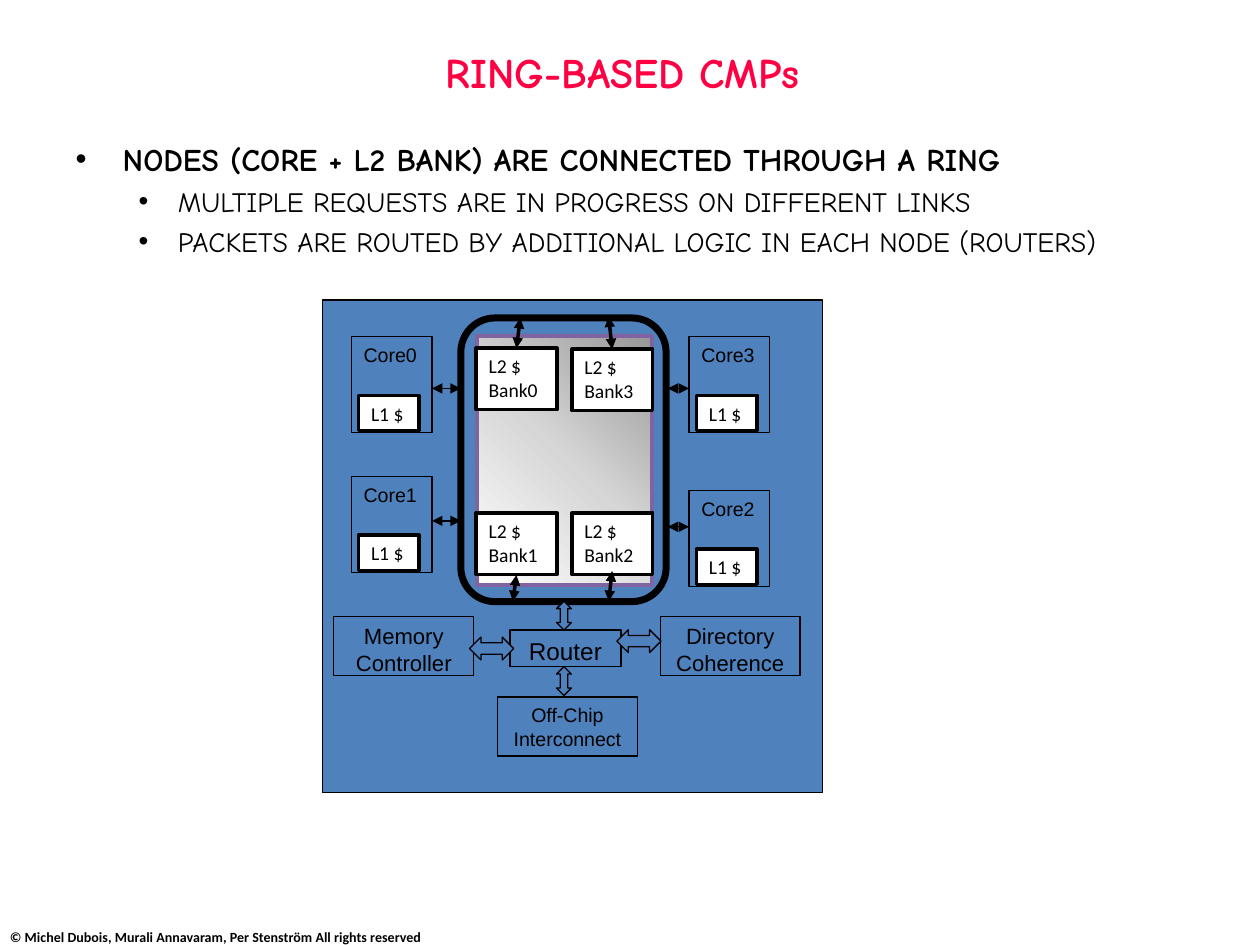
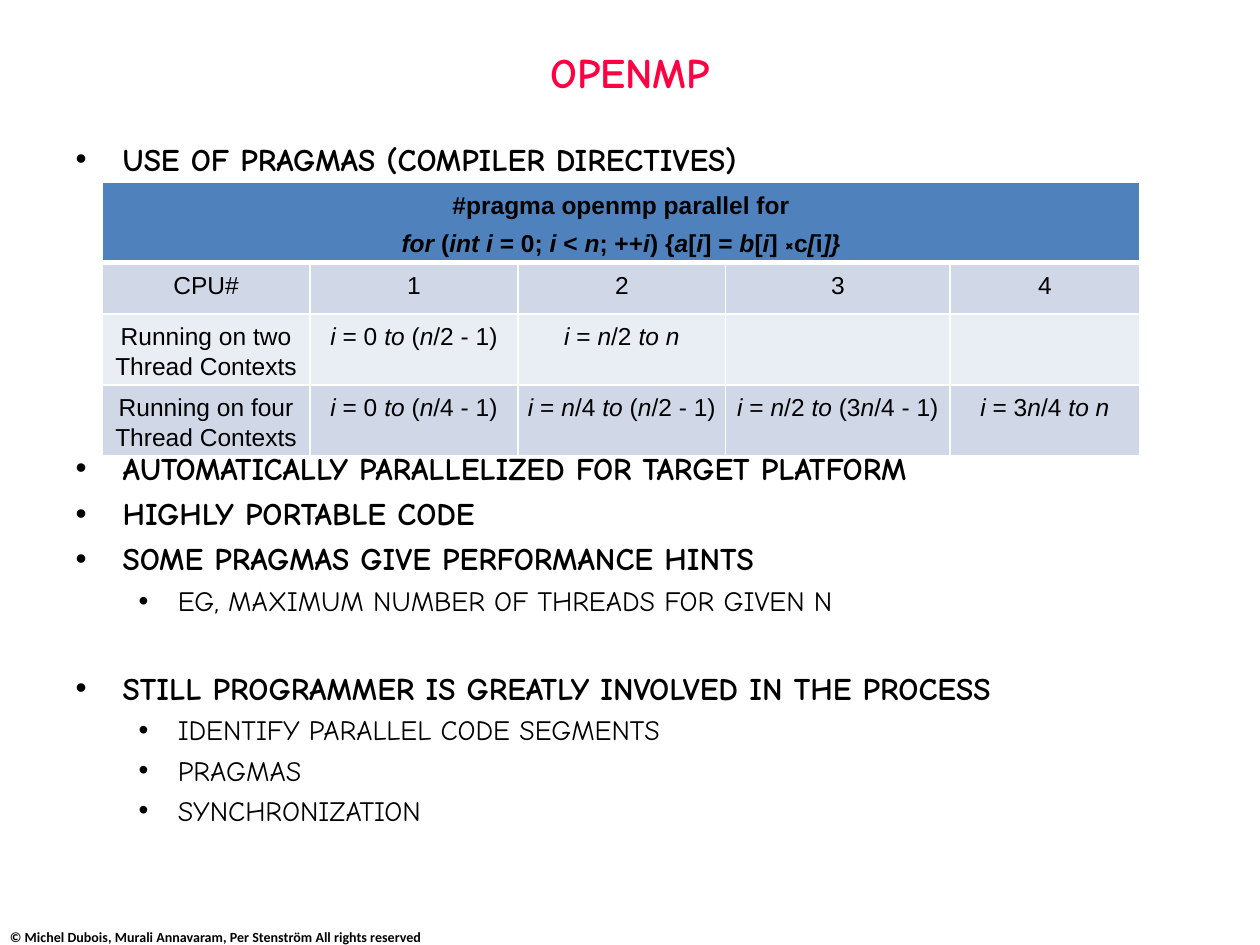
from copy import deepcopy
from dataclasses import dataclass

from lxml import etree
from pptx import Presentation
from pptx.dml.color import RGBColor
from pptx.enum.shapes import MSO_CONNECTOR, MSO_SHAPE
from pptx.enum.text import MSO_ANCHOR, MSO_AUTO_SIZE, PP_ALIGN
from pptx.oxml.ns import qn
from pptx.util import Cm, Pt

RECT, ROUND = MSO_SHAPE.RECTANGLE, MSO_SHAPE.ROUNDED_RECTANGLE
ARROW, STRAIGHT = MSO_SHAPE.UP_DOWN_ARROW, MSO_CONNECTOR.STRAIGHT
TOP, MIDDLE, BOTTOM = MSO_ANCHOR.TOP, MSO_ANCHOR.MIDDLE, MSO_ANCHOR.BOTTOM
LEFT, CENTER = PP_ALIGN.LEFT, PP_ALIGN.CENTER
NO_FIT = MSO_AUTO_SIZE.NONE


@dataclass(frozen=True)
class Theme:
    red: str = "FF0043"
    black: str = "000000"
    white: str = "FFFFFF"
    blue: str = "4F81BD"
    purple: str = "8064A2"
    band_dark: str = "D0D8E8"
    band_light: str = "E9EDF4"
    ring_fade: tuple = ((0, "979797"), (0.5, "D7D7D7"), (1, "FFFFFF"))
    head_font: str = "Comic Neue"
    label_font: str = "Arial"
    small_font: str = "Calibri"
    title: float = 24
    levels: tuple = (18, 16)
    footer: float = 8
    table: float = 14
    router: float = 13.9
    unit: float = 12.6
    chip: float = 11.2
    thin: float = 0.75
    thick: float = 2
    ring: float = 4


T = Theme()
INDENTS = ((0.95, -0.95), (2.06, -0.79))
FOOTER = "© Michel Dubois, Murali Annavaram, Per Stenström All rights reserved"


def rgb(color):
    return RGBColor.from_string(color)


def cms(*values):
    return [Cm(v) for v in values]


def add_run(p, text, size, font, color=T.black, bold=False, italic=False):
    r = p.add_run()
    r.text = text
    f = r.font
    f.size, f.name, f.bold, f.italic = Pt(size), font, bold, italic
    f.color.rgb = rgb(color)


def set_frame(tf, anchor=TOP):
    tf.word_wrap, tf.auto_size, tf.vertical_anchor = True, NO_FIT, anchor


def place(sp, box):
    sp.left, sp.top, sp.width, sp.height = cms(*box)


def add_title(s, text):
    sp = s.shapes.title
    place(sp, (1.27, 0.18, 22.86, 2.51))
    set_frame(sp.text_frame, MIDDLE)
    p = sp.text_frame.paragraphs[0]
    p.alignment = CENTER
    add_run(p, text, T.title, T.head_font, T.red, bold=True)


def add_body(s, items):
    sp = s.placeholders[1]
    place(sp, (1.27, 2.69, 22.86, 14.96))
    tf = sp.text_frame
    set_frame(tf)
    for i, (level, text, gap) in enumerate(items):
        p = tf.add_paragraph() if i else tf.paragraphs[0]
        p.level = level
        size = T.levels[level]
        p.space_before = Pt(round(size * 0.235 + gap, 1))
        pPr = p._p.get_or_add_pPr()
        left, hang = INDENTS[level]
        pPr.set("marL", str(Cm(left)))
        pPr.set("indent", str(Cm(hang)))
        etree.SubElement(pPr, qn("a:buFont")).set("typeface", T.label_font)
        etree.SubElement(pPr, qn("a:buChar")).set("char", "•")
        add_run(p, text, size, T.head_font, bold=level == 0)


def add_footer(s):
    tf = s.shapes.add_textbox(*cms(0.2, 18.59, 12.5, 0.46)).text_frame
    set_frame(tf, BOTTOM)
    tf.margin_left, tf.margin_top, tf.margin_right, tf.margin_bottom = cms(0, 0.13, 0.25, 0)
    add_run(tf.paragraphs[0], FOOTER, T.footer, T.small_font, bold=True)


def add_slide(prs, title, items):
    s = prs.slides.add_slide(prs.slide_layouts[1])
    add_title(s, title)
    add_body(s, items)
    add_footer(s)
    return s


class Chip:
    def __init__(self, s, left, top):
        self.shapes = s.shapes.add_group_shape().shapes
        self.left, self.top = left, top

    def at(self, x, y):
        return cms(self.left + x, self.top + y)

    def shape(self, kind, x, y, w, h, fill=T.blue, line=T.black, weight=T.thin, turn=0):
        sp = self.shapes.add_shape(kind, *self.at(x, y), *cms(w, h))
        sp.shadow.inherit = False
        sp.fill.solid()
        sp.fill.fore_color.rgb = rgb(fill)
        sp.line.color.rgb = rgb(line)
        sp.line.width = Pt(weight)
        sp.rotation = turn
        return sp

    def label(self, sp, text, size, font=T.label_font, align=CENTER):
        set_frame(sp.text_frame)
        p = sp.text_frame.paragraphs[0]
        p.alignment = align
        add_run(p, text, size, font)

    def cache(self, text, x, y, w, h):
        sp = self.shape(RECT, x, y, w, h, T.white, weight=T.thick)
        self.label(sp, text, T.chip, T.small_font, LEFT)

    def core(self, name, x, y):
        self.shape(RECT, x, y, 1.63, 1.93)
        self.cache("L1 $", x + 0.15, y + 1.18, 1.22, 0.71)
        sp = self.shapes.add_textbox(*self.at(x, y), *cms(1.63, 0.71))
        self.label(sp, name, T.chip, align=LEFT)
        sp.text_frame.word_wrap = False

    def unit(self, text, size, x, y, w=2.82, h=1.19):
        self.label(self.shape(RECT, x, y, w, h), text, size)

    def link(self, x1, y1, x2, y2, weight=T.thin):
        c = self.shapes.add_connector(STRAIGHT, *self.at(x1, y1), *self.at(x2, y2))
        c.line.color.rgb = rgb(T.black)
        c.line.width = Pt(weight)
        ln = c.line._get_or_add_ln()
        for end in ("a:headEnd", "a:tailEnd"):
            etree.SubElement(ln, qn(end)).set("type", "triangle")
        etree.SubElement(c._element.spPr, qn("a:effectLst"))

    def ring(self):
        self.shape(ROUND, 2.79, 0.36, 4.14, 5.72, weight=T.ring)
        sp = self.shape(RECT, 2.36, 1.47, 5.03, 3.53, line=T.purple, weight=T.thick, turn=90)
        sp.fill.gradient()
        sp.fill.gradient_angle = 315
        first = sp.fill._xPr.find(".//" + qn("a:gs"))
        first.addnext(deepcopy(first))
        for stop, (position, color) in zip(sp.fill.gradient_stops, T.ring_fade):
            stop.position = position
            stop.color.rgb = rgb(color)


def draw_chip(s, left, top):
    chip = Chip(s, left, top)
    chip.shape(RECT, 0, 0, 10.08, 9.93)
    left_x, right_x = 0.58, 7.39
    for i, (x, y) in enumerate(((left_x, 0.74), (left_x, 3.56), (right_x, 3.84), (right_x, 0.74))):
        chip.core(f"Core{i}", x, y)
    chip.ring()
    for i, (x, y) in enumerate(((3.1, 0.97), (3.1, 4.29), (5.03, 4.29), (5.03, 0.99))):
        chip.cache(f"L2 $ Bank{i}", x, y, 1.63, 1.24)
    for x1, x2, y in ((2.79, 2.21, 1.78), (2.79, 2.21, 4.45), (7.39, 6.96, 1.78), (7.39, 6.96, 4.57)):
        chip.link(x1, y, x2, y)
    for ends in ((3.91, 5.54, 3.84, 6.07), (5.84, 5.46, 5.77, 6.07),
                 (3.99, 0.36, 3.91, 0.97), (5.77, 0.33, 5.84, 0.99)):
        chip.link(*ends, T.thick)
    chip.unit("Router", T.router, 3.78, 6.65, 2.24, 0.74)
    chip.unit("Directory Coherence", T.unit, 6.81, 6.38)
    chip.unit("Off-Chip Interconnect", T.chip, 3.53, 8)
    chip.unit("Memory Controller", T.unit, 0.23, 6.38)
    for y in (6.07, 7.39):
        chip.shape(ARROW, 4.72, y, 0.3, 0.58)
    for x, y in ((6.15, 6.43), (3.18, 6.58)):
        chip.shape(ARROW, x, y, 0.46, 0.89, turn=90)


def set_borders(cell, top, bottom):
    tcPr = cell._tc.get_or_add_tcPr()
    for side, weight in (("L", 1), ("R", 1), ("T", top), ("B", bottom)):
        ln = etree.SubElement(tcPr, qn(f"a:ln{side}"), w=str(Pt(weight)))
        fill = etree.SubElement(ln, qn("a:solidFill"))
        etree.SubElement(fill, qn("a:srgbClr"), val=T.white)


def fill_cell(cell, text, bold):
    cell.margin_left, cell.margin_top, cell.margin_right, cell.margin_bottom = cms(0.2, 0.15, 0.2, 0.08)
    tf = cell.text_frame
    lines = text.split("\n")
    for i, line in enumerate(lines):
        p = tf.add_paragraph() if i else tf.paragraphs[0]
        p.alignment = CENTER
        p.line_spacing = Pt(17)
        p.space_after = Pt(5 if bold or len(lines) == 1 else 0)
        for j, part in enumerate(line.split("_")):
            if part:
                font = T.head_font if part == "×" else T.label_font
                add_run(p, part, T.table, font, bold=bold, italic=j % 2 == 1)


def draw_loop_table(s, left, top):
    head = ("#pragma openmp parallel for\n"
            "_for_ (_int i_ = 0; _i_ < _n_; ++_i_) {_a_[_i_] = _b_[_i_] ____×__c_[_i_]}")
    rows = (
        (head, "", "", "", ""),
        ("CPU#", "1", "2", "3", "4"),
        ("Running on two\nThread Contexts", "_i_ = 0 _to_ (_n_/2 - 1)", "_i_ = _n_/2 _to n_", "", ""),
        ("Running on four\nThread Contexts", "_i_ = 0 _to_ (_n_/4 - 1)",
         "_i_ = _n_/4 _to_ (_n_/2 - 1)", "_i_ = _n_/2 _to_ (3_n_/4 - 1)", "_i_ = 3_n_/4 _to n_"),
    )
    widths, heights = (4.19, 4.19, 4.19, 4.52, 3.83), (1.58, 1.04, 1.4, 1.4)
    fills = (T.blue, T.band_dark, T.band_light, T.band_dark)
    table = s.shapes.add_table(len(rows), len(widths), *cms(left, top, sum(widths), sum(heights))).table
    table.horz_banding = False
    for col, width in zip(table.columns, widths):
        col.width = Cm(width)
    for i, texts in enumerate(rows):
        table.rows[i].height = Cm(heights[i])
        for j, text in enumerate(texts):
            cell = table.cell(i, j)
            set_borders(cell, 3 if i == 1 else 1, 3 if i == 0 else 1)
            cell.fill.solid()
            cell.fill.fore_color.rgb = rgb(fills[i])
            fill_cell(cell, text, bold=i == 0)
    table.cell(0, 0).merge(table.cell(0, len(widths) - 1))


def ring_slide(prs):
    s = add_slide(prs, "RING-BASED CMPs ", (
        (0, "NODES (CORE + L2 BANK) ARE CONNECTED THROUGH A RING", 0),
        (1, "MULTIPLE REQUESTS ARE IN PROGRESS ON DIFFERENT LINKS", 0),
        (1, "PACKETS ARE ROUTED BY ADDITIONAL LOGIC IN EACH NODE (ROUTERS)", 0),
    ))
    draw_chip(s, 6.5, 6.05)


def openmp_slide(prs):
    s = add_slide(prs, "OPENMP", (
        (0, "USE OF PRAGMAS (COMPILER DIRECTIVES)", 0),
        (0, "AUTOMATICALLY PARALLELIZED FOR TARGET PLATFORM", 151),
        (0, "HIGHLY PORTABLE CODE", 0),
        (0, "SOME PRAGMAS GIVE PERFORMANCE HINTS", 0),
        (1, "EG, MAXIMUM NUMBER OF THREADS FOR GIVEN N", 0),
        (0, "STILL PROGRAMMER IS GREATLY INVOLVED IN THE PROCESS", 25),
        (1, "IDENTIFY PARALLEL CODE SEGMENTS", 0),
        (1, "PRAGMAS", 0),
        (1, "SYNCHRONIZATION", 0),
    ))
    draw_loop_table(s, 2.06, 3.68)


def main():
    prs = Presentation()
    prs.slide_width, prs.slide_height = cms(25.4, 19.05)
    ring_slide(prs)
    openmp_slide(prs)
    prs.save("out.pptx")


if __name__ == "__main__":
    main()
